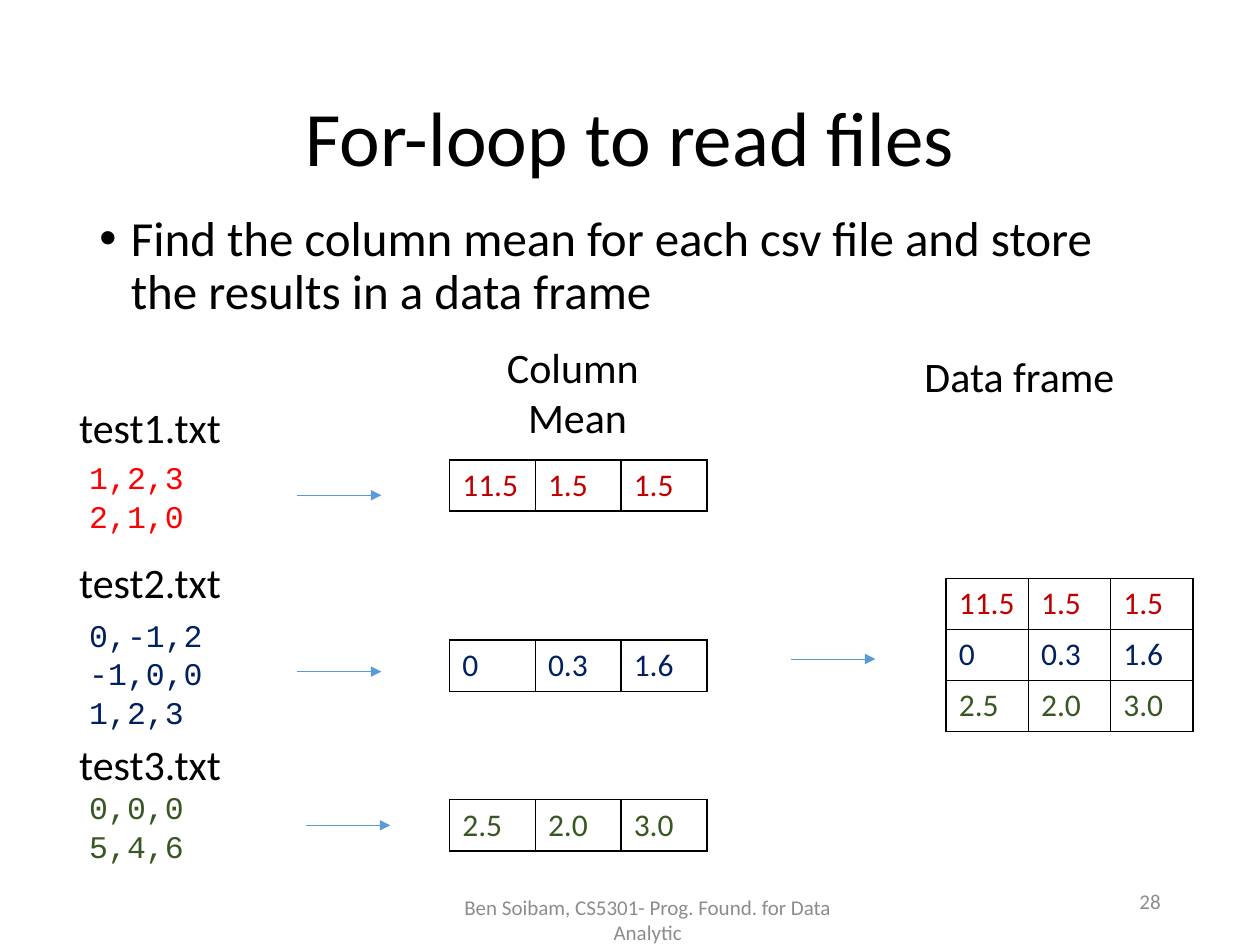
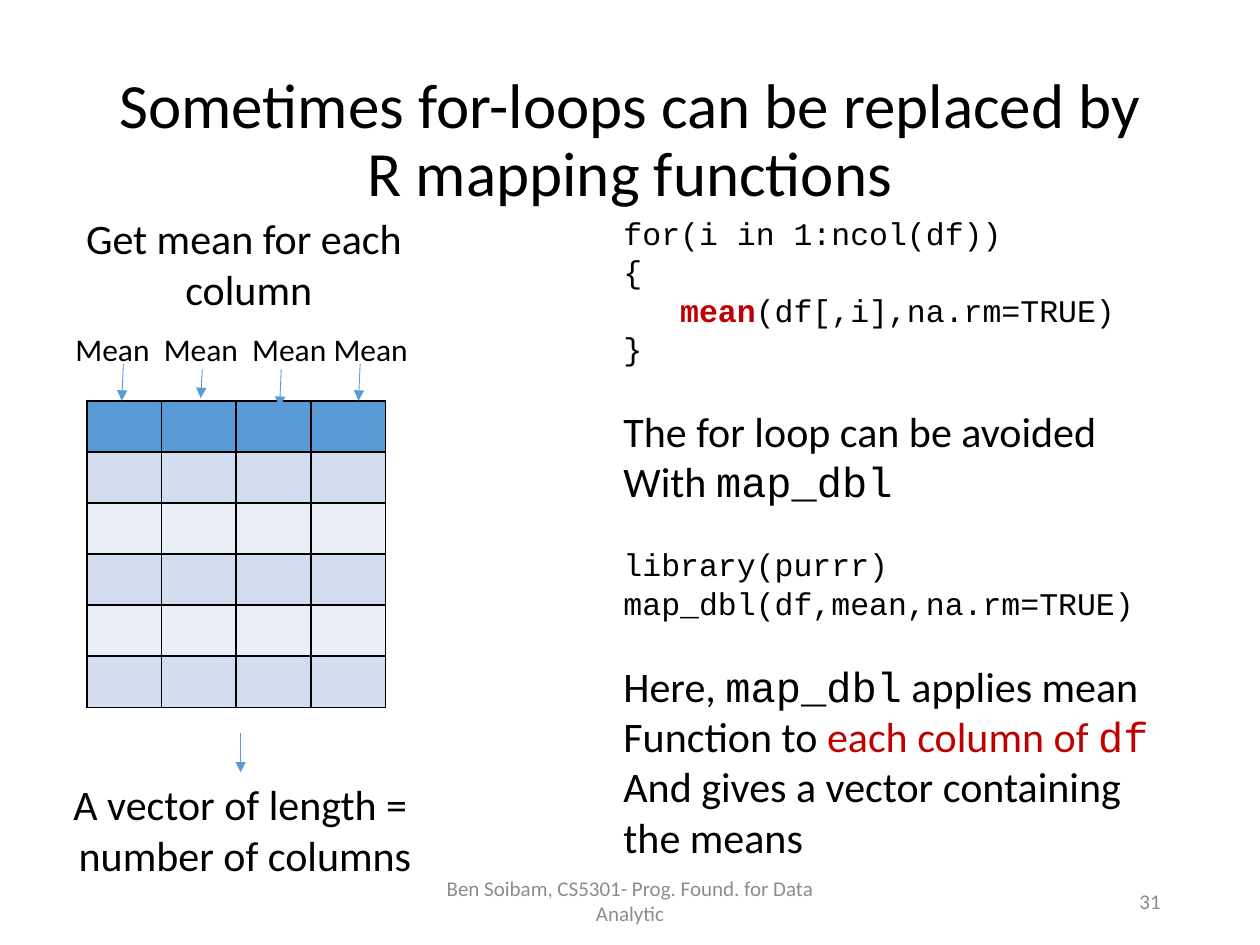
from dataclasses import dataclass
from typing import Optional

import pptx
import pptx.util
from pptx.dml.color import RGBColor
from pptx.enum.shapes import MSO_CONNECTOR
from pptx.enum.text import MSO_ANCHOR, MSO_AUTO_SIZE, PP_ALIGN
from pptx.oxml.ns import qn
from lxml import etree

Pt = pptx.util.Pt

# Shared style
HUES = {
    "black": "000000", "white": "FFFFFF", "gray": "8C8C8C", "red": "FF0000",
    "brick": "C00000", "navy": "002060", "green": "385723",
    "blue": "5B9BD5", "band": "D2DEEF", "pale": "EAEFF7",
}
SANS, MONO = "Calibri", "Courier New"
LEFT, MID, RIGHT = PP_ALIGN.LEFT, PP_ALIGN.CENTER, PP_ALIGN.RIGHT
ROW = 29.2
CODE = 22  # line pitch of code, also the gap between blocks
FOOT = "Ben Soibam, CS5301- Prog. Found. for Data Analytic"


@dataclass
class Run:
    text: str
    font: Optional[str] = None
    hue: Optional[str] = None
    bold: bool = False


@dataclass
class Line:
    runs: list[Run]
    size: float = 24
    font: str = SANS
    hue: str = "black"
    gap: float = 0
    indent: float = 0
    pitch: Optional[float] = None


@dataclass
class Note:
    left: float
    top: float
    width: float
    height: float
    lines: list[Line]
    align: PP_ALIGN = LEFT
    wrap: bool = False
    middle: bool = False


@dataclass
class Arrow:
    x1: float
    y1: float
    x2: float
    y2: float


@dataclass
class Grid:
    left: float
    top: float
    width: float
    rows: list[list[str]]
    hues: list[str]
    fills: list[str]


def color(name: str) -> RGBColor:
    return RGBColor.from_string(HUES[name])


def style(font, size: float, face: str, hue: str) -> None:
    font.size, font.name, font.bold = Pt(size), face, False
    font.color.rgb = color(hue)


def plain(text: str, **look) -> Line:
    return Line([Run(text)], **look)


def code(text: str, hue: str = "black", gap: float = 0) -> Line:
    return plain(text, size=18, font=MONO, hue=hue, gap=gap, pitch=CODE)


# Drawing
def fill_line(para, line: Line) -> None:
    style(para.font, line.size, line.font, line.hue)
    para.space_before = Pt(line.gap)
    if line.pitch:
        para.line_spacing = Pt(line.pitch)
    if line.indent:
        para._p.get_or_add_pPr().set("marL", str(Pt(line.indent)))
    for part in line.runs:
        run = para.add_run()
        run.text = part.text
        if part.font:
            run.font.name = part.font
        if part.hue:
            run.font.color.rgb = color(part.hue)
        if part.bold:
            run.font.bold = True


def add_note(slide, note: Note):
    box = slide.shapes.add_textbox(
        Pt(note.left), Pt(note.top), Pt(note.width), Pt(note.height))
    frame = box.text_frame
    frame.word_wrap = note.wrap
    if not note.wrap:
        frame.auto_size = MSO_AUTO_SIZE.SHAPE_TO_FIT_TEXT
    if note.middle:
        frame.vertical_anchor = MSO_ANCHOR.MIDDLE
    for i, line in enumerate(note.lines):
        para = frame.add_paragraph() if i else frame.paragraphs[0]
        para.alignment = note.align
        fill_line(para, line)
    return frame


def add_arrow(slide, arrow: Arrow) -> None:
    link = slide.shapes.add_connector(
        MSO_CONNECTOR.STRAIGHT,
        Pt(arrow.x1), Pt(arrow.y1), Pt(arrow.x2), Pt(arrow.y2))
    link.line.color.rgb = color("blue")
    link.line.width = Pt(0.5)
    etree.SubElement(link.line._get_or_add_ln(), qn("a:tailEnd"), type="triangle")
    etree.SubElement(link._element.spPr, qn("a:effectLst"))


def edge(cell) -> None:
    props = cell._tc.get_or_add_tcPr()
    for i, side in enumerate(("lnL", "lnR", "lnT", "lnB")):
        rim = etree.Element(qn(f"a:{side}"), w=str(Pt(1)))
        fill = etree.SubElement(rim, qn("a:solidFill"))
        etree.SubElement(fill, qn("a:srgbClr"), val=HUES["black"])
        props.insert(i, rim)


def add_grid(slide, grid: Grid) -> None:
    count = len(grid.rows[0])
    table = slide.shapes.add_table(
        len(grid.rows), count, Pt(grid.left), Pt(grid.top),
        Pt(grid.width), Pt(ROW * len(grid.rows))).table
    table.first_row = table.horz_banding = False
    for col in table.columns:
        col.width = Pt(grid.width / count)
    for r, row in enumerate(grid.rows):
        table.rows[r].height = Pt(ROW)
        for c, text in enumerate(row):
            cell = table.cell(r, c)
            cell.text = text
            style(cell.text_frame.paragraphs[0].font, 18, SANS, grid.hues[r])
            cell.fill.solid()
            cell.fill.fore_color.rgb = color(grid.fills[r])
            edge(cell)


def add_page(deck, title: str, size: float, page: str, left: float, top: float):
    """Add a slide with its title, footer and number."""
    slide = deck.slides.add_slide(deck.slide_layouts[5])
    head = slide.shapes.title
    head.left, head.top, head.width, head.height = map(Pt, (49.7, 28.8, 620.6, 104.4))
    frame = head.text_frame
    frame.text = title
    frame.word_wrap = True
    frame.auto_size = MSO_AUTO_SIZE.NONE
    frame.vertical_anchor = MSO_ANCHOR.MIDDLE
    para = frame.paragraphs[0]
    para.alignment, para.line_spacing = MID, 0.9
    style(para.font, size, SANS, "black")
    for x, y, width, text, align in (
            (left, top, 243.4, FOOT, MID), (508.3, 500.4, 162, page, RIGHT)):
        add_note(slide, Note(x, y, width, 28.8, [plain(text, size=12, hue="gray")],
                             align, wrap=True, middle=True))
    return slide


# Slide: reading files in a loop
@dataclass
class File:
    name: str
    top: float
    data: list[str]
    data_top: float
    hue: str
    means: list[str]
    mean_hue: str
    mean_top: float
    arrow_x: float
    arrow_y: float


FILES = [
    File("test1.txt", 226.1, ["1,2,3", "2,1,0"], 257.8, "red",
         ["11.5", "1.5", "1.5"], "brick", 262.8, 169.9, 283),
    File("test2.txt", 314.6, ["0,-1,2", "-1,0,0", "1,2,3"], 347.8, "navy",
         ["0", "0.3", "1.6"], "navy", 365.8, 169.9, 383.8),
    File("test3.txt", 418.3, ["0,0,0", "5,4,6"], 446.4, "green",
         ["2.5", "2.0", "3.0"], "green", 457, 175, 471.6),
]


def draw_files(deck) -> None:
    slide = add_page(deck, "For-loop to read files", 44, "28", 248.4, 511.2)
    task = "Find the column mean for each csv file and store the results in a data frame"
    frame = add_note(slide, Note(49.7, 118.8, 620.6, 396,
                                 [plain(task, size=28, gap=10, indent=18)], wrap=True))
    para = frame.paragraphs[0]
    para.line_spacing = 0.9
    props = para._p.get_or_add_pPr()
    props.set("indent", str(-Pt(18)))
    # The bullet goes ahead of the default run properties
    mark = etree.Element(qn("a:buChar"), char="•")
    props.find(qn("a:defRPr")).addprevious(mark)
    face = etree.Element(qn("a:buFont"), typeface="Arial")
    mark.addprevious(face)

    for file in FILES:
        add_note(slide, Note(43.9, file.data_top, 110, CODE * len(file.data) + 7.2,
                             [code(text, file.hue) for text in file.data], wrap=True))
        add_note(slide, Note(38.2, file.top, 96.5, 36, [plain(file.name)]))
        add_grid(slide, Grid(257, file.mean_top, 147, [file.means],
                             [file.mean_hue], ["white"]))
        add_arrow(slide, Arrow(file.arrow_x, file.arrow_y,
                               file.arrow_x + 48, file.arrow_y))

    # Joined result
    add_note(slide, Note(282.2, 191.5, 95.8, 65.5,
                         [plain("Column "), plain("Mean")], MID))
    add_arrow(slide, Arrow(452.2, 376.6, 500.2, 376.6))
    add_note(slide, Note(520.6, 196.6, 123.8, 36, [plain("Data frame")], MID))
    add_grid(slide, Grid(540.7, 330.5, 141, [file.means for file in FILES],
                         [file.mean_hue for file in FILES], ["white"] * 3))


# Slide: mapping functions
def draw_map(deck) -> None:
    slide = add_page(deck, "Sometimes for-loops can be replaced by R mapping functions",
                     36, "31", 238.3, 500.4)
    add_grid(slide, Grid(49.7, 229, 170.6, [[""] * 4] * 6, ["black"] * 6,
                         ["blue"] + ["band", "pale"] * 2 + ["band"]))
    add_note(slide, Note(41, 118.1, 202.3, 65.5,
                         [plain("Get mean for each "), plain("column")], MID))

    # Column labels on tab stops, each with an arrow
    frame = add_note(slide, Note(36, 185, 207.4, 28.8,
                                 [plain("\t".join(["Mean"] * 4), size=18)]))
    props = frame.paragraphs[0]._p.get_or_add_pPr()
    tabs = etree.Element(qn("a:tabLst"))
    for stop in (50.5, 101, 147.5):
        etree.SubElement(tabs, qn("a:tab"), pos=str(Pt(stop)), algn="l")
    props.find(qn("a:defRPr")).addprevious(tabs)
    for i, (top, end) in enumerate(((208, 229), (211, 227.5), (211, 232.5), (208, 229))):
        x = 70.5 + 45.1 * i
        add_arrow(slide, Arrow(x, top, x - 0.9, end))
    add_arrow(slide, Arrow(137.5, 419, 137.5, 441.4))
    add_note(slide, Note(33.8, 441.4, 212.4, 65.5,
                         [plain("A vector of length = "), plain("number of columns")], MID))

    # Code and explanation
    call = Run("map_dbl", MONO)
    add_note(slide, Note(349.2, 118.1, 316.8, 378, [
        code("for(i in 1:ncol(df))"),
        code("{"),
        Line([Run("mean", hue="brick", bold=True), Run("(df[,i],na.rm=TRUE)")],
             size=18, font=MONO, indent=32.4, pitch=CODE),
        code("}"),
        plain("The for loop can be avoided", gap=CODE),
        Line([Run("With "), call]),
        code("library(purrr)", gap=CODE),
        code("map_dbl(df,mean,na.rm=TRUE)"),
        Line([Run("Here, "), call, Run(" applies mean")], gap=CODE),
        Line([Run("Function to "), Run("each column of ", hue="brick"),
              Run("df", MONO, "brick")]),
        plain("And gives a vector containing"),
        plain("the means"),
    ]))


def main() -> None:
    deck = pptx.Presentation()
    deck.slide_width, deck.slide_height = Pt(720), Pt(540)
    draw_files(deck)
    draw_map(deck)
    deck.save("out.pptx")


if __name__ == "__main__":
    main()
